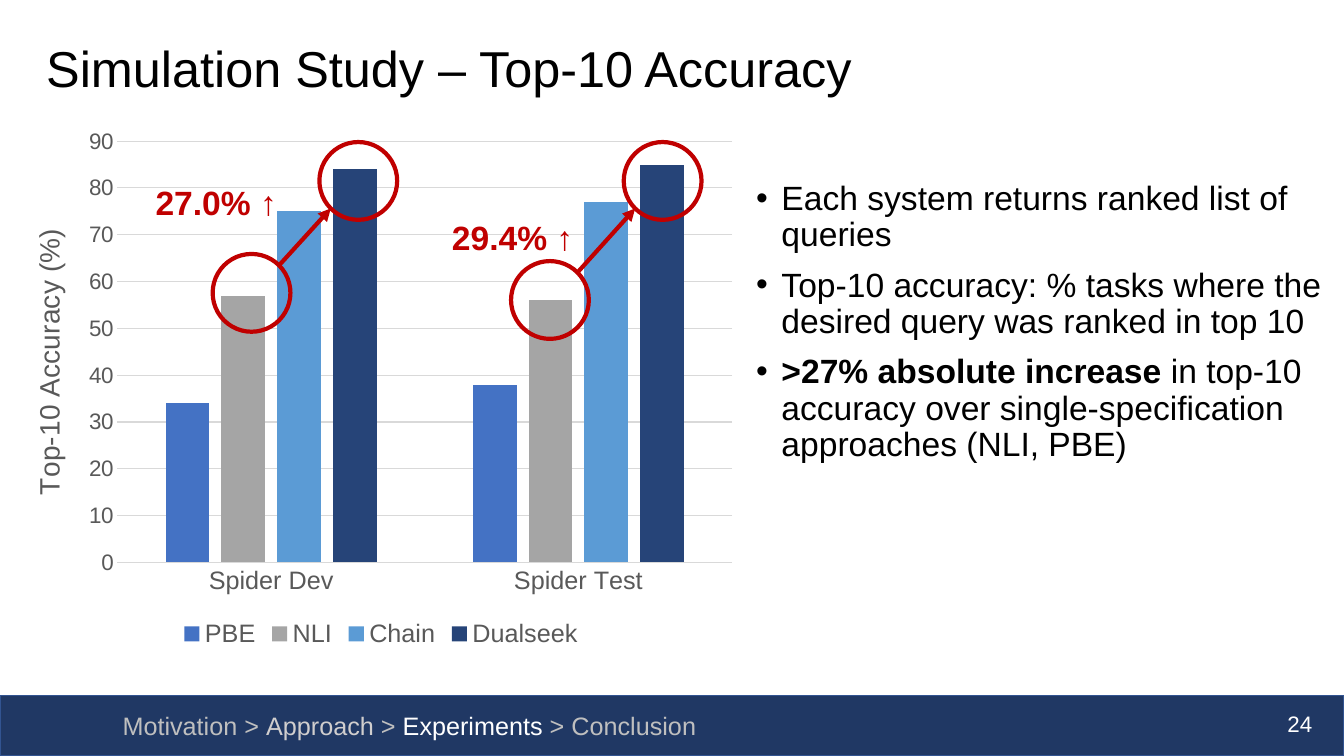
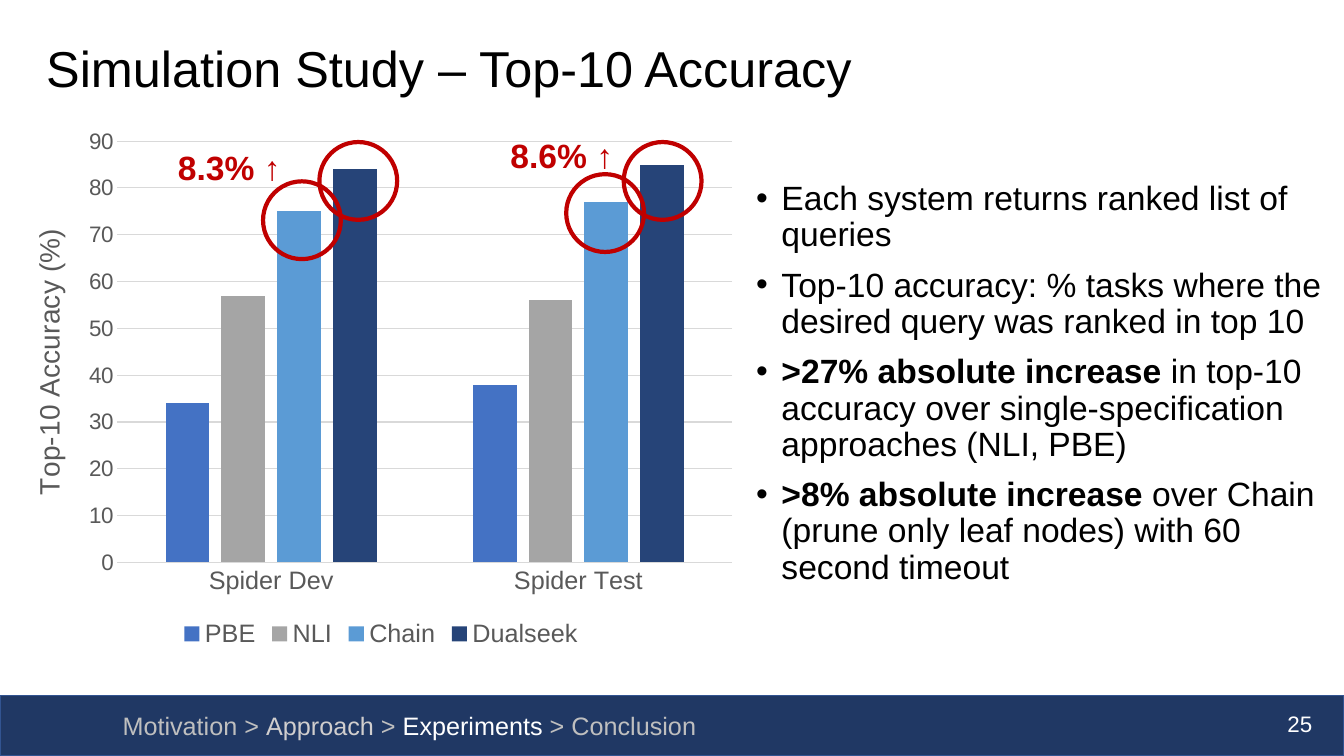
from math import sqrt

from lxml.etree import SubElement
from pptx import Presentation
from pptx.chart.data import CategoryChartData
from pptx.dml.color import RGBColor
from pptx.enum.chart import XL_CHART_TYPE, XL_LEGEND_POSITION, XL_TICK_MARK
from pptx.enum.shapes import MSO_CONNECTOR, MSO_SHAPE
from pptx.enum.text import MSO_ANCHOR, PP_ALIGN
from pptx.oxml import parse_xml
from pptx.oxml.ns import nsdecls, qn
from pptx.util import Cm, Pt

FONT = "Arial"
BLACK, WHITE, NAVY, BAND_EDGE = "000000", "FFFFFF", "203864", "325491"
RED, GRAY, GRID, MUTED, VISITED = "C00000", "595959", "D9D9D9", "BFBFBF", "D0CECE"

SLIDE_WIDTH, SLIDE_HEIGHT = 33.87, 19.05
BAND_TOP = 17.53
FOOTER_TOP, FOOTER_HEIGHT = 17.78, 1.02
TITLE_AREA = (0.91, 0.61, 32.16, 2.39)
CHART_AREA = (0.38, 3.02, 18.44, 13.44)
BODY_AREA = (18.8, 4.45, 15.06, 12)
PLOT_SHARES = {"x": 0.14, "y": 0.04, "w": 0.84, "h": 0.79}
RING_SIZE = 1.96
LABEL_SIZE = (4.14, 1.27)

TITLE = "Simulation Study – Top-10 Accuracy"
FIRST_NUMBER = 24
TRAIL = [("Motivation > ", {}), ("Approach", {"color": VISITED}), (" > ", {}),
         ("Experiments", {"color": WHITE}), (" > Conclusion", {})]

AXIS_TITLE = "Top-10 Accuracy (%)"
CATEGORIES = ["Spider Dev", "Spider Test"]
SERIES = [
    ("PBE", (34, 38), "4472C4"),
    ("NLI", (57, 56), "A5A5A5"),
    ("Chain", (75, 77), "5B9BD5"),
    ("Dualseek", (84, 85), "264478"),
]

BOLD = {"bold": True}
POINTS = [
    [("Each system returns ranked list of queries", {})],
    [("Top-10 accuracy: % tasks where the desired query was ranked in top 10", {})],
    [(">27% absolute increase", BOLD),
     (" in top-10 accuracy over single-specification approaches (NLI, PBE)", {})],
    [(">8% absolute increase", BOLD),
     (" over Chain (prune only leaf nodes) with 60 second timeout", {})],
]

# Each comparison: label, label corner, lower ring corner, upper ring corner
DEV_TOP, TEST_TOP = (8.05, 3.58), (15.72, 3.58)
PAGES = [
    {"points": POINTS[:3], "arrows": True, "comparisons": [
        ("27.0% ↑", (3.38, 4.47), (5.36, 6.4), DEV_TOP),
        ("29.4% ↑", (10.85, 5.33), (12.88, 6.58), TEST_TOP)]},
    {"points": POINTS, "arrows": False, "comparisons": [
        ("8.3% ↑", (3.71, 3.58), (6.63, 4.57), DEV_TOP),
        ("8.6% ↑", (12.09, 3.28), (14.27, 4.39), TEST_TOP)]},
]


def rgb(color):
    return RGBColor.from_string(color)


def lengths(*values):
    return [Cm(value) for value in values]


def place(shape, area):
    shape.left, shape.top, shape.width, shape.height = lengths(*area)


def style_font(font, size, color, bold=False):
    font.name, font.size, font.bold = FONT, Pt(size), bold
    font.color.rgb = rgb(color)


def write(frame, paragraphs, size, color=BLACK, bold=False, align=PP_ALIGN.LEFT,
          line_spacing=None, space_before=None):
    """Fill a text frame; each paragraph is a list of (text, font overrides)."""
    for index, spans in enumerate(paragraphs):
        para = frame.add_paragraph() if index else frame.paragraphs[0]
        para.alignment = align
        para.line_spacing = line_spacing
        para.space_before = space_before
        for text, overrides in spans:
            span = para.add_run()
            span.text = text
            style_font(span.font, **{"size": size, "color": color, "bold": bold, **overrides})


def add_label(page, area, spans, **style):
    frame = page.shapes.add_textbox(*lengths(*area)).text_frame
    frame.word_wrap = True
    write(frame, [spans], **style)


def move_band_to_master(deck, page):
    """Draw the footer band and hand it to the master, so every page shows it."""
    band = page.shapes.add_shape(MSO_SHAPE.RECTANGLE, *lengths(
        0, BAND_TOP, SLIDE_WIDTH, SLIDE_HEIGHT - BAND_TOP))
    band.shadow.inherit = False
    band.fill.solid()
    band.fill.fore_color.rgb = rgb(NAVY)
    band.line.color.rgb = rgb(BAND_EDGE)
    band.line.width = Pt(1)
    deck.slide_master.shapes.element.insert(2, band.element)


def add_ring(page, corner):
    ring = page.shapes.add_shape(
        MSO_SHAPE.OVAL, *lengths(*corner, RING_SIZE, RING_SIZE))
    ring.shadow.inherit = False
    ring.fill.background()
    ring.line.color.rgb = rgb(RED)
    ring.line.width = Pt(3)


def add_ring_arrow(page, lower, upper):
    """Join the upper right of one ring to the lower left of the other."""
    near = RING_SIZE / 2 * (1 - 1 / sqrt(2))
    far = RING_SIZE - near
    arrow = page.shapes.add_connector(MSO_CONNECTOR.STRAIGHT, *lengths(
        lower[0] + far, lower[1] + near, upper[0] + near, upper[1] + far))
    arrow.line.color.rgb = rgb(RED)
    arrow.line.width = Pt(3)
    properties = arrow.element.spPr
    SubElement(properties.find(qn("a:ln")), qn("a:tailEnd"), type="triangle")
    SubElement(properties, qn("a:effectLst"))


def fix_plot_area(chart):
    parts = "".join(f'<c:{key} val="{share}"/>' for key, share in PLOT_SHARES.items())
    layout = parse_xml(
        f'<c:layout {nsdecls("c")}><c:manualLayout><c:layoutTarget val="inner"/>'
        f'<c:xMode val="edge"/><c:yMode val="edge"/>{parts}</c:manualLayout></c:layout>')
    plot_area = chart.element.find(".//" + qn("c:plotArea"))
    for old in plot_area.findall(qn("c:layout")):
        plot_area.remove(old)
    plot_area.insert(0, layout)


def add_accuracy_chart(page):
    data = CategoryChartData(number_format="#,##0")
    data.categories = CATEGORIES
    for name, values, _ in SERIES:
        data.add_series(name, values)
    chart = page.shapes.add_chart(
        XL_CHART_TYPE.COLUMN_CLUSTERED, *lengths(*CHART_AREA), data).chart
    chart.has_title = False
    style_font(chart.font, 18, GRAY)
    fix_plot_area(chart)

    plot = chart.plots[0]
    plot.gap_width, plot.overlap, plot.vary_by_categories = 219, -27, False
    for series, (_, _, color) in zip(plot.series, SERIES):
        series.format.fill.solid()
        series.format.fill.fore_color.rgb = rgb(color)

    for axis, size in ((chart.category_axis, 18), (chart.value_axis, 16)):
        axis.major_tick_mark = axis.minor_tick_mark = XL_TICK_MARK.NONE
        style_font(axis.tick_labels.font, size, GRAY)
    values = chart.value_axis
    values.minimum_scale, values.maximum_scale, values.major_unit = 0, 90, 10
    values.format.line.fill.background()
    for line in (chart.category_axis.format.line, values.major_gridlines.format.line):
        line.color.rgb = rgb(GRID)
        line.width = Pt(0.75)
    write(values.axis_title.text_frame, [[(AXIS_TITLE, {})]], size=20, color=GRAY,
          align=PP_ALIGN.CENTER)
    values.axis_title.element.find(".//" + qn("a:bodyPr")).set("rot", "-5400000")

    chart.has_legend = True
    chart.legend.position = XL_LEGEND_POSITION.BOTTOM
    chart.legend.include_in_layout = False
    style_font(chart.legend.font, 18, GRAY)


def add_points(body, points):
    write(body.text_frame, points, size=24, line_spacing=0.9, space_before=Pt(10))
    for properties in body.element.iter(qn("a:pPr")):
        properties.set("marL", str(Cm(0.64)))
        properties.set("indent", str(Cm(-0.64)))


def add_page(deck, layout, number, content):
    page = deck.slides.add_slide(layout)
    title, body = page.placeholders
    add_accuracy_chart(page)
    write(title.text_frame, [[(TITLE, {})]], size=36, line_spacing=0.9)
    add_points(body, content["points"])
    for label, label_corner, lower, upper in content["comparisons"]:
        add_ring(page, lower)
        add_ring(page, upper)
        if content["arrows"]:
            add_ring_arrow(page, lower, upper)
        add_label(page, (*label_corner, *LABEL_SIZE), [(label, {})],
                  size=24, color=RED, bold=True, align=PP_ALIGN.CENTER)
    add_label(page, (2.84, FOOTER_TOP, 17.96, FOOTER_HEIGHT), TRAIL, size=18, color=MUTED)
    add_label(page, (25.7, FOOTER_TOP, 7.62, FOOTER_HEIGHT), [(str(number), {})],
              size=16, color=WHITE, align=PP_ALIGN.RIGHT)
    return page


def main():
    deck = Presentation()
    deck.slide_width, deck.slide_height = lengths(SLIDE_WIDTH, SLIDE_HEIGHT)
    layout = deck.slide_layouts[1]
    title, body = list(layout.placeholders)[:2]
    place(title, TITLE_AREA)
    title.text_frame.vertical_anchor = MSO_ANCHOR.MIDDLE
    place(body, BODY_AREA)
    pages = [add_page(deck, layout, number, content)
             for number, content in enumerate(PAGES, FIRST_NUMBER)]
    move_band_to_master(deck, pages[0])
    deck.save("out.pptx")


if __name__ == "__main__":
    main()
